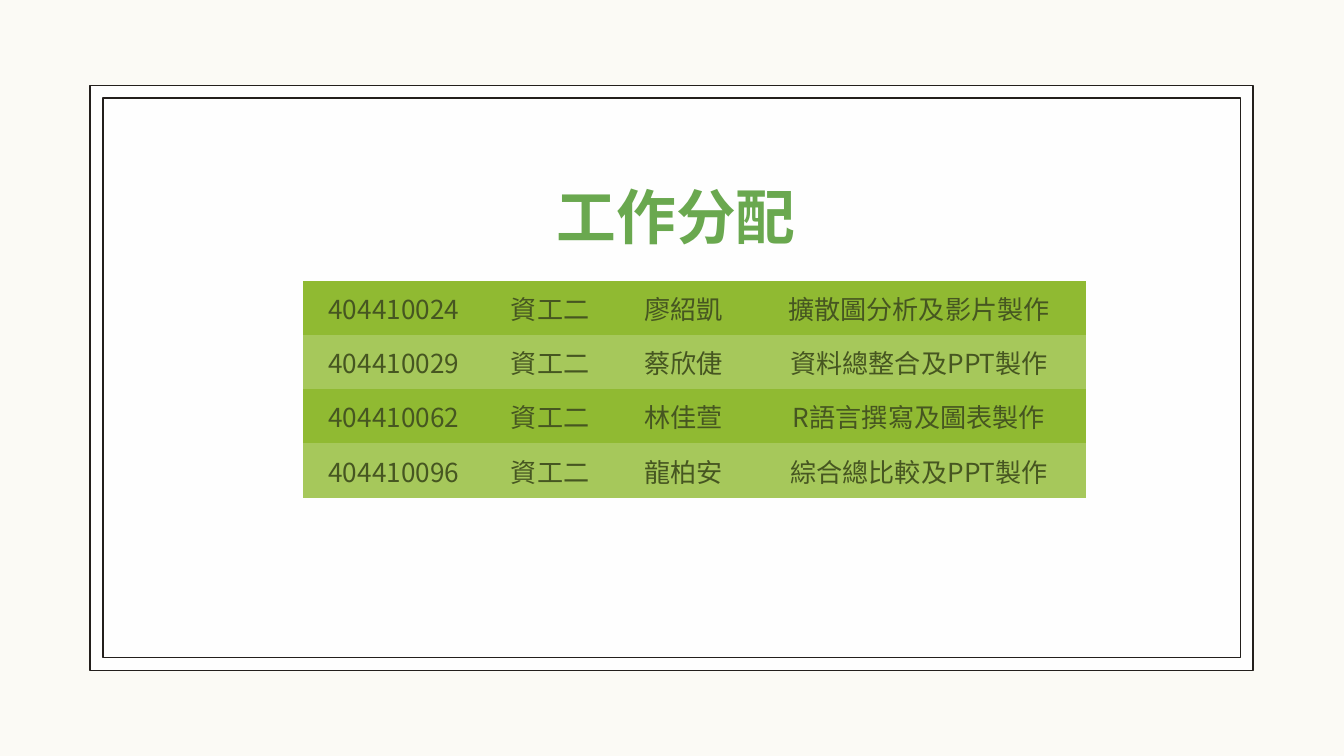
import pptx
import pptx.util
import pptx.dml.color
import pptx.enum.shapes
import pptx.enum.text
import pptx.oxml
import pptx.oxml.ns
import lxml.etree

Cm, Pt = pptx.util.Cm, pptx.util.Pt
qn = pptx.oxml.ns.qn
mid = pptx.enum.text.PP_ALIGN.CENTER


def paint(fill, code):
    fill.solid()
    fill.fore_color.rgb = pptx.dml.color.RGBColor.from_string(code)


def style(para, size, face, code):
    para.alignment = mid
    for run in para.runs:
        run.font.size = Pt(size)
        run.font.name = face
        paint(run.font.fill, code)


# Slide
deck = pptx.Presentation()
deck.slide_width, deck.slide_height = Cm(25.4), Cm(14.29)
slide = deck.slides.add_slide(deck.slide_layouts[6])
paint(slide.background.fill, "FBFAF5")

# Double frame
frames = []
for left, top, width, height in [(1.7, 1.62, 21.98, 11.05), (1.95, 1.85, 21.5, 10.58)]:
    frame = slide.shapes.add_shape(
        pptx.enum.shapes.MSO_SHAPE.RECTANGLE, Cm(left), Cm(top), Cm(width), Cm(height))
    frame.shadow.inherit = False
    frame.fill.background()
    paint(frame.line.fill, "231F1C")
    frame.line.width = Pt(0.75)
    frames.append(frame)

# The outer frame is a slightly clear white
paint(frames[0].fill, "FFFFFF")
tint = frames[0].fill._xPr.find(qn("a:solidFill"))[0]
lxml.etree.SubElement(tint, qn("a:alpha")).set("val", "93000")

# Title
title = slide.shapes.add_textbox(Cm(3.56), Cm(3.61), Cm(18.44), Cm(1.4)).text_frame
title.word_wrap = True
title.vertical_anchor = pptx.enum.text.MSO_ANCHOR.BOTTOM
title.margin_top = title.margin_bottom = Cm(0.25)
title.text = "工作分配"
style(title.paragraphs[0], 32, "Cambria", "6AA84F")
title.paragraphs[0].runs[0].font.bold = True

# Table of tasks
tasks = [
    ("404410024", "資工二", "廖紹凱", "擴散圖分析及影片製作"),
    ("404410029", "資工二", "蔡欣倢", "資料總整合及PPT製作"),
    ("404410062", "資工二", "林佳萱", "R語言撰寫及圖表製作"),
    ("404410096", "資工二", "龍柏安", "綜合總比較及PPT製作"),
]
widths = [3.45, 2.46, 2.59, 6.3]
face = "Noto Sans CJK SC"
table = slide.shapes.add_table(
    len(tasks), len(widths), Cm(5.72), Cm(5.31), Cm(sum(widths)), Cm(4.1)).table
table.first_row = table.horz_banding = False
# Plain style without grid lines
table._tbl.tblPr.find(qn("a:tableStyleId")).text = "{2D5ABB26-0587-4C30-8999-92F81FD0307C}"

for col, width in zip(table.columns, widths):
    col.width = Cm(width)

for i, task in enumerate(tasks):
    for j, word in enumerate(task):
        cell = table.cell(i, j)
        paint(cell.fill, ["90BA32", "A6C85B"][i % 2])
        cell.vertical_anchor = pptx.enum.text.MSO_ANCHOR.MIDDLE
        cell.text_frame.text = word
        para = cell.text_frame.paragraphs[0]
        style(para, 14, face, "465621")
        # East Asian font
        props = para.runs[0].font._element
        lxml.etree.SubElement(props, qn("a:ea")).set("typeface", face)

deck.save("out.pptx")
